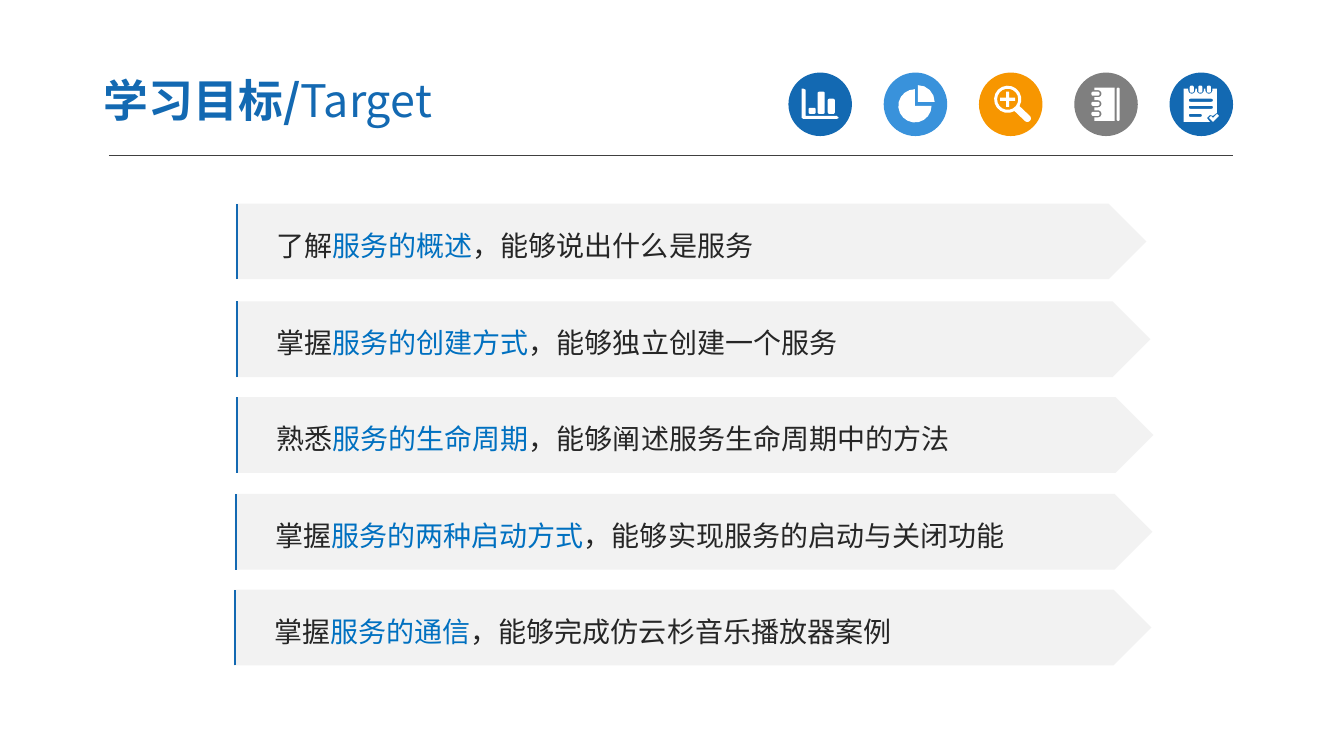
from dataclasses import dataclass
from math import cos, radians, sin

from lxml.etree import SubElement
from pptx import Presentation
from pptx.dml.color import RGBColor
from pptx.enum.shapes import MSO_CONNECTOR, MSO_SHAPE as Shape
from pptx.enum.text import MSO_ANCHOR as Anchor, MSO_AUTO_SIZE as AutoSize, PP_ALIGN as Align
from pptx.oxml.ns import qn
from pptx.util import Inches, Pt


@dataclass(frozen=True)
class Theme:
    """Colours, font and type sizes of the slide."""
    blue: str = "1369B2"
    sky: str = "3992DB"
    orange: str = "F79600"
    gray: str = "7F7F7F"
    white: str = "FFFFFF"
    rule: str = "404040"
    banner: str = "F2F2F2"
    ink: str = "262626"
    accent: str = "0070C0"
    font: str = "Noto Sans CJK SC"
    title_size: int = 32
    body_size: int = 20


THEME = Theme()
DISC_LEFT, DISC_TOP, DISC_STEP, DISC_SIZE = 7.82, 0.72, 0.945, 0.63
BANNER_HEIGHT = 0.75
GOALS = [
    (2.34, 2.02, 9.03, "了解", "服务的概述", "，能够说出什么是服务"),
    (2.34, 2.99, 9.07, "掌握", "服务的创建方式", "，能够独立创建一个服务"),
    (2.34, 3.94, 9.10, "熟悉", "服务的生命周期", "，能够阐述服务生命周期中的方法"),
    (2.33, 4.90, 9.10, "掌握", "服务的两种启动方式", "，能够实现服务的启动与关闭功能"),
    (2.32, 5.85, 9.10, "掌握", "服务的通信", "，能够完成仿云杉音乐播放器案例"),
]


def paint(shape, color):
    """Give a shape a plain fill without line or shadow."""
    shape.shadow.inherit = False
    shape.fill.solid()
    shape.fill.fore_color.rgb = RGBColor.from_string(color)
    shape.line.fill.background()


def add_preset(page, kind, place, color):
    """Add a filled preset shape at left, top, width, height."""
    shape = page.shapes.add_shape(kind, *map(Inches, place))
    paint(shape, color)
    return shape


def add_outline(page, contours, left, top, closed=True):
    """Add one freeform made of contours placed from left and top."""
    placed = [[(Inches(left + x), Inches(top + y)) for x, y in contour] for contour in contours]
    builder = page.shapes.build_freeform(*placed[0][0])
    for index, contour in enumerate(placed):
        if index:
            builder.move_to(*contour[0])
        builder.add_line_segments(contour[1:], close=closed)
    return builder.convert_to_shape()


def add_span(para, text, size, color, bold=False):
    """Add a run with the same Latin and East Asian font."""
    span = para.add_run()
    span.text = text
    span.font.size = Pt(size)
    span.font.bold = bold
    span.font.color.rgb = RGBColor.from_string(color)
    span.font.name = THEME.font
    SubElement(span._r.get_or_add_rPr(), qn("a:ea"), typeface=THEME.font)


def add_title(page):
    """Place and format the title."""
    title = page.shapes.title
    title.left, title.top, title.width, title.height = map(Inches, (0.9, 0.63, 5.22, 0.72))
    frame = title.text_frame
    frame.auto_size = AutoSize.NONE
    frame.vertical_anchor = Anchor.MIDDLE
    frame.margin_left = frame.margin_right = Inches(0.13)
    frame.margin_top = frame.margin_bottom = Inches(0.07)
    para = frame.paragraphs[0]
    para.alignment = Align.LEFT
    add_span(para, "学习目标/", THEME.title_size, THEME.blue, bold=True)
    add_span(para, "Target", THEME.title_size, THEME.blue)


def add_rule(page):
    """Add the thin line under the title."""
    rule = page.shapes.add_connector(MSO_CONNECTOR.STRAIGHT, *map(Inches, (1.08, 1.54, 12.23, 1.54)))
    rule.line.color.rgb = RGBColor.from_string(THEME.rule)
    rule.line.width = Pt(0.75)
    SubElement(rule._element.spPr, qn("a:effectLst"))


def add_banner(page, left, top, width, verb, topic, outcome):
    """Add one goal as an arrow banner with a blue edge."""
    banner = add_preset(page, Shape.PENTAGON, (left, top, width, BANNER_HEIGHT), THEME.banner)
    frame = banner.text_frame
    frame.word_wrap = True
    frame.vertical_anchor = Anchor.MIDDLE
    frame.margin_left = Inches(0.4)
    para = frame.paragraphs[0]
    para.alignment = Align.LEFT
    para.line_spacing = 1.2
    for text, color in ((verb, THEME.ink), (topic, THEME.accent), (outcome, THEME.ink)):
        add_span(para, text, THEME.body_size, color)
    edge = add_outline(page, [[(0.01, BANNER_HEIGHT), (0.01, 0)]], left, top, closed=False)
    edge.shadow.inherit = False
    edge.fill.background()
    edge.line.color.rgb = RGBColor.from_string(THEME.blue)
    edge.line.width = Pt(1.5)


def arc(x, y, radius, start, end):
    """Return points along an arc, in degrees clockwise from the right."""
    steps = max(2, round(abs(end - start) / 20))
    angles = [radians(start + (end - start) * step / steps) for step in range(steps + 1)]
    return [(x + radius * cos(angle), y + radius * sin(angle)) for angle in angles]


def bar(left, top, width, height, radius=0.015):
    """Return the contour of a rectangle with rounded corners."""
    near, far = left + radius, left + width - radius
    high, low = top + radius, top + height - radius
    corners = ((near, high, 180), (far, high, 270), (far, low, 0), (near, low, 90))
    return [point for x, y, start in corners for point in arc(x, y, radius, start, start + 90)]


def chart_icon():
    """Return a bar chart."""
    axes = [(0.13, 0.16), (0.15, 0.16), (0.17, 0.17), (0.17, 0.43), (0.48, 0.43),
            (0.5, 0.45), (0.48, 0.46), (0.15, 0.46), (0.13, 0.45)]
    return [axes] + [bar(x, top, 0.07, 0.41 - top)
                     for x, top in ((0.2, 0.35), (0.29, 0.19), (0.39, 0.26))]


def pie_icon():
    """Return a pie with one quarter pulled out."""
    return [[(x, y)] + arc(x, y, 0.165, start, end)
            for x, y, start, end in ((0.31, 0.33, 0, 270), (0.34, 0.29, -90, 0))]


def magnifier_icon():
    """Return a magnifier with a plus sign."""
    x, y, arm, half = 0.285, 0.265, 0.075, 0.015
    body = arc(x, y, 0.135, 60, 390) + arc(0.48, 0.455, 0.035, -45, 135)
    turns = ((1, 0), (0, 1), (-1, 0), (0, -1))
    plus = [(x + a * c - b * s, y + a * s + b * c) for c, s in turns
            for a, b in ((arm, -half), (arm, half), (half, half))]
    return [body, arc(x, y, 0.105, 0, 360), plus]


def notebook_icon():
    """Return a ring-bound notebook."""
    body = [(0.2, 0.15), (0.4, 0.15), (0.4, 0.48), (0.2, 0.48)]
    rings = (0.41, 0.31, 0.21)
    for y in rings:
        body += [(0.2, y + 0.035)] + arc(0.235, y, 0.035, 90, -90) + [(0.2, y - 0.035)]
    return [body, bar(0.42, 0.15, 0.03, 0.33)] + [bar(0.17, y - 0.02, 0.08, 0.04) for y in rings]


def notepad_icon():
    """Return a notepad with a tick."""
    rings = (0.22, 0.305, 0.39)
    body = [(0.14, 0.16)]
    for x in rings:
        body += [(x - 0.035, 0.16)] + arc(x, 0.175, 0.035, 180, 0) + [(x + 0.035, 0.16)]
    body += [(0.47, 0.16), (0.47, 0.4), (0.43, 0.43), (0.4, 0.42), (0.37, 0.45),
             (0.4, 0.49), (0.14, 0.49)]
    tick = [(0.39, 0.45), (0.41, 0.43), (0.43, 0.45), (0.47, 0.41), (0.49, 0.43), (0.43, 0.49)]
    lines = [bar(0.19, y, width, 0.03) for y, width in ((0.26, 0.24), (0.33, 0.24), (0.41, 0.13))]
    return [body, tick] + lines + [bar(x - 0.02, 0.13, 0.04, 0.07) for x in rings]


def add_icons(page):
    """Add the row of round icons."""
    icons = ((chart_icon, THEME.blue), (pie_icon, THEME.sky), (magnifier_icon, THEME.orange),
             (notebook_icon, THEME.gray), (notepad_icon, THEME.blue))
    for index, (icon, color) in enumerate(icons):
        left = DISC_LEFT + index * DISC_STEP
        add_preset(page, Shape.OVAL, (left, DISC_TOP, DISC_SIZE, DISC_SIZE), color)
        paint(add_outline(page, icon(), left, DISC_TOP), THEME.white)


def main():
    """Build the learning goals slide."""
    deck = Presentation()
    deck.slide_width, deck.slide_height = Inches(13.33), Inches(7.5)
    page = deck.slides.add_slide(deck.slide_layouts[5])
    add_title(page)
    add_rule(page)
    add_icons(page)
    for goal in GOALS:
        add_banner(page, *goal)
    deck.save("out.pptx")


if __name__ == "__main__":
    main()
